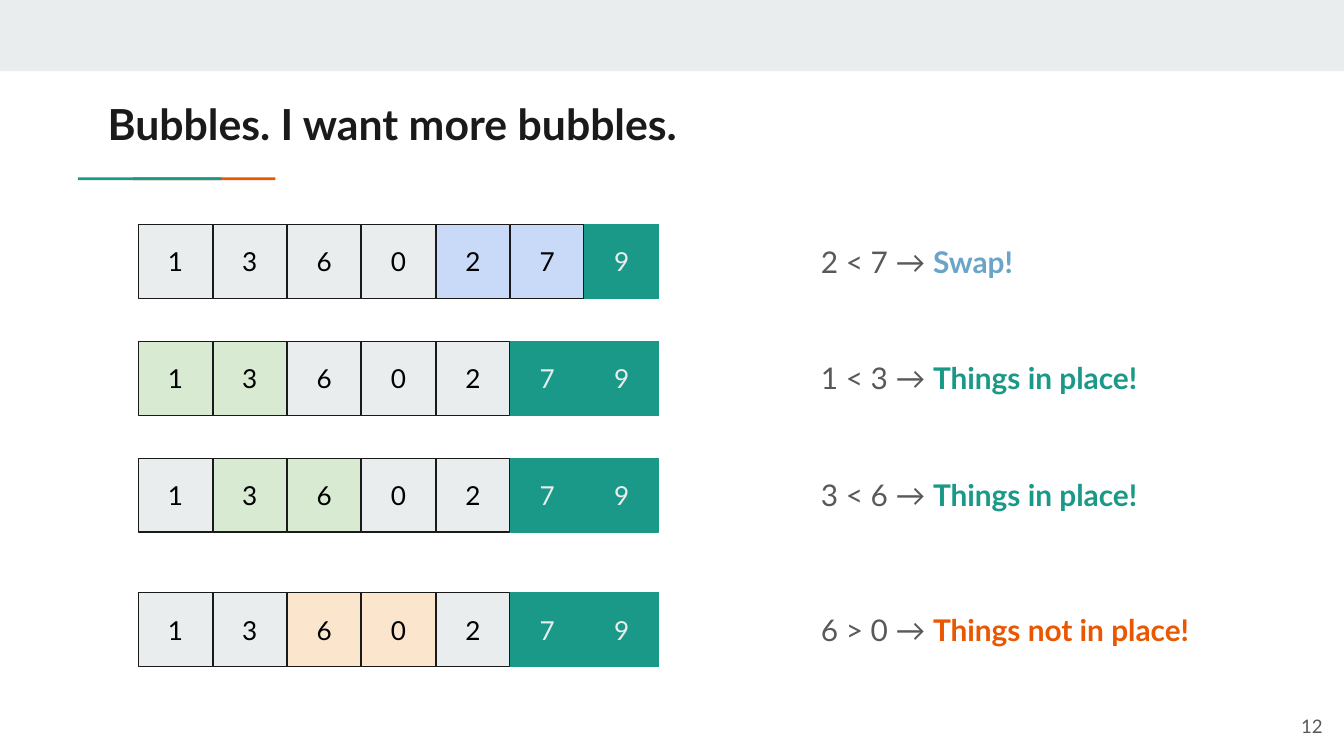
from pptx import Presentation
from pptx.dml.color import RGBColor
from pptx.enum.shapes import MSO_SHAPE
from pptx.enum.text import MSO_ANCHOR, MSO_AUTO_SIZE, PP_ALIGN
from pptx.util import Inches, Pt

RECT = MSO_SHAPE.RECTANGLE
TOP, MIDDLE = MSO_ANCHOR.TOP, MSO_ANCHOR.MIDDLE
LEFT, CENTER, RIGHT = PP_ALIGN.LEFT, PP_ALIGN.CENTER, PP_ALIGN.RIGHT

FONT = "Lato"
INK = RGBColor(0x1A, 0x1A, 0x1A)
BLACK = RGBColor(0, 0, 0)
GRAY = RGBColor(0x59, 0x59, 0x59)
PALE = RGBColor(0xE9, 0xED, 0xEE)
TEAL = RGBColor(0x1A, 0x99, 0x88)
ORANGE = RGBColor(0xEB, 0x56, 0x00)
BLUE = RGBColor(0x6A, 0xA4, 0xC8)
SKY = RGBColor(0xC9, 0xDA, 0xF8)
MINT = RGBColor(0xD9, 0xEA, 0xD3)
PEACH = RGBColor(0xFC, 0xE5, 0xCD)

TITLE = "Bubbles. I want more bubbles."
PAGE = "12"
BARS = [  # left, top, width, height, color
    (0, 0, 10, 0.53, PALE),
    (0.99, 1.32, 1.06, 0.02, ORANGE),
    (0.58, 1.32, 1.07, 0.02, TEAL),
]
# top, digits, first of the compared pair, its fill, count of sorted digits,
# comparison, verdict, verdict color, note width
STEPS = [
    (1.67, "1360279", 4, SKY, 1, "2 < 7", "Swap!", BLUE, 2.6),
    (2.54, "1360279", 0, MINT, 2, "1 < 3", "Things in place!", TEAL, 3.33),
    (3.41, "1360279", 1, MINT, 2, "3 < 6", "Things in place!", TEAL, 3.33),
    (4.41, "1360279", 2, PEACH, 2, "6 > 0", "Things not in place!", ORANGE, 3.33),
]
ROW_X, ROW_END, SIDE = 1.03, 4.9, 0.55
NOTE_X, NOTE_H = 6.01, 0.47


def write(shape, runs, size, align=LEFT, anchor=TOP, inset=0.1):
    """Fill a shape with one paragraph of (text, color, bold) runs."""
    frame = shape.text_frame
    frame.word_wrap = True
    frame.auto_size = MSO_AUTO_SIZE.NONE
    frame.vertical_anchor = anchor
    frame.margin_left = frame.margin_right = Inches(inset)
    frame.margin_top = frame.margin_bottom = Inches(0.1)
    para = frame.paragraphs[0]
    para.alignment = align
    for text, color, bold in runs:
        run = para.add_run()
        run.text = text
        run.font.name = FONT
        run.font.size = Pt(size)
        run.font.bold = bold
        run.font.color.rgb = color


def add_box(slide, x, y, w, h, fill, line=None):
    box = slide.shapes.add_shape(RECT, Inches(x), Inches(y), Inches(w), Inches(h))
    box.shadow.inherit = False
    box.fill.solid()
    box.fill.fore_color.rgb = fill
    if line is None:
        box.line.fill.background()
    else:
        box.line.color.rgb = line
        box.line.width = Pt(0.75)
    return box


def add_text(slide, x, y, w, h, runs, size, **style):
    box = slide.shapes.add_textbox(Inches(x), Inches(y), Inches(w), Inches(h))
    write(box, runs, size, **style)


def add_row(slide, top, digits, first, tint, done, test, verdict, color, width):
    pitch = (ROW_END - SIDE - ROW_X) / (len(digits) - 1)
    for i, digit in enumerate(digits):
        fill, line, ink = PALE, INK, BLACK
        if i >= len(digits) - done:
            fill, line, ink = TEAL, TEAL, PALE
        elif i in (first, first + 1):
            fill = tint
        cell = add_box(slide, ROW_X + i * pitch, top, SIDE, SIDE, fill, line)
        write(cell, [(digit, ink, False)], 14, align=CENTER, anchor=MIDDLE)
    runs = [(f"{test} → ", GRAY, False), (verdict, color, True)]
    add_text(slide, NOTE_X, top + (SIDE - NOTE_H) / 2, width, NOTE_H, runs, 16)


def main():
    deck = Presentation()
    deck.slide_width = Inches(10)
    deck.slide_height = deck.slide_width * 9 // 16
    slide = deck.slides.add_slide(deck.slide_layouts[5])

    for bar in BARS:
        add_box(slide, *bar)

    title = slide.shapes.title
    title.left, title.top = Inches(0.8), Inches(0.63)
    title.width, title.height = Inches(8.41), Inches(0.59)
    write(title, [(TITLE, INK, True)], 22.9, inset=0)

    add_text(slide, 9.34, 5.19, 0.6, 0.43, [(PAGE, GRAY, False)], 10,
             align=RIGHT, anchor=MIDDLE)
    for step in STEPS:
        add_row(slide, *step)

    deck.save("out.pptx")


if __name__ == "__main__":
    main()
